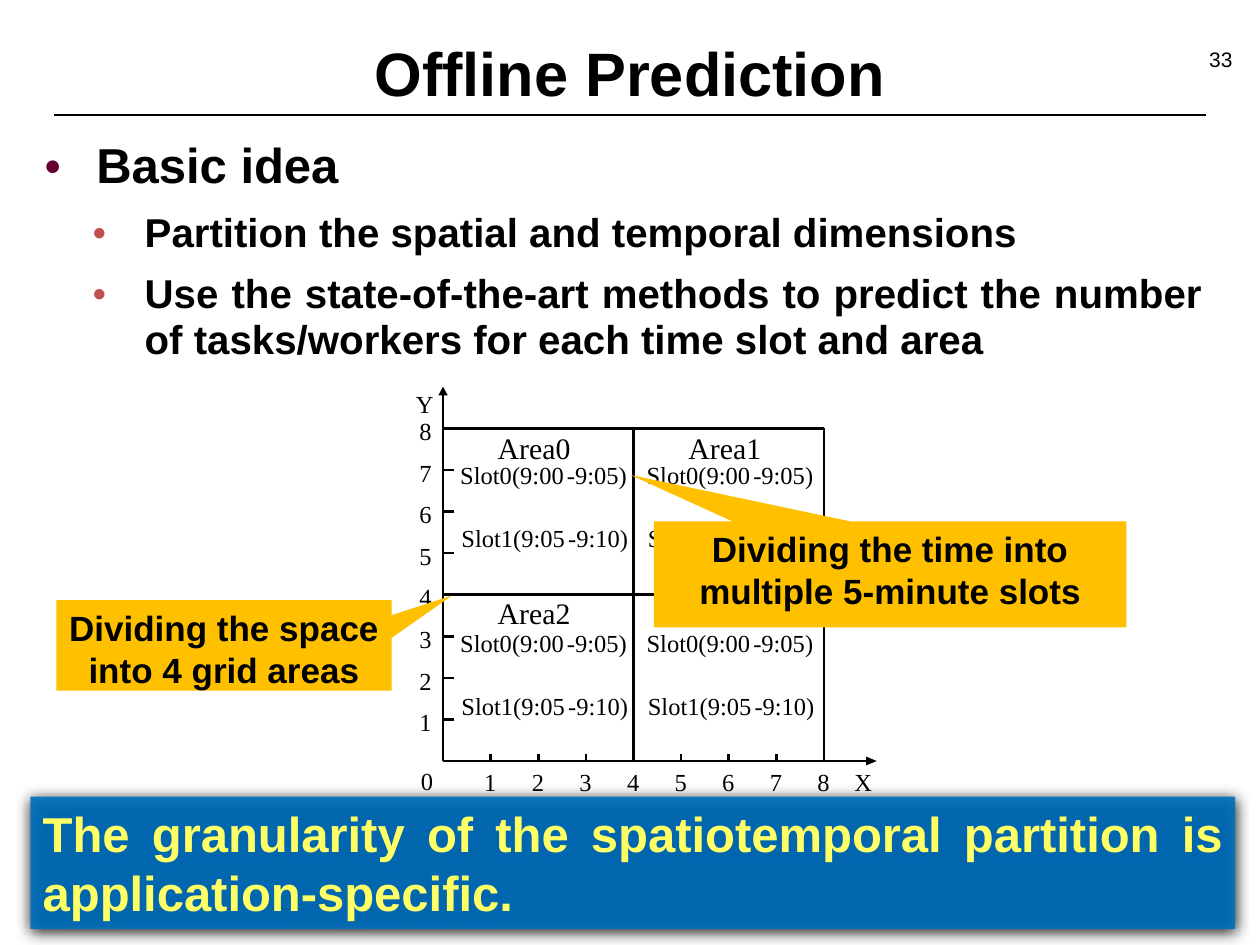
from lxml import etree
from pptx import Presentation, util as u
from pptx.dml.color import RGBColor
from pptx.enum import shapes, text
from pptx.oxml.ns import qn

ORIGIN_X, ORIGIN_Y = 253.2, 434.9
STEP_X, STEP_Y = 27.2, 23.76
BULLETS = [
    (0, "Basic idea"),
    (1, "Partition the spatial and temporal dimensions"),
    (1, "Use the state-of-the-art methods to predict the number "
        "of tasks/workers for each time slot and area"),
]
SLOTS = [("Slot0(9:00", "-", "9:05)"), ("Slot1(9:05", "-", "9:10)")]


def rgb(value):
    """Return the colour for a hex string."""
    return RGBColor.from_string(value)


def points(*values):
    """Convert numbers in points to lengths."""
    return [u.Pt(value) for value in values]


def xml_child(parent, tag, **attributes):
    """Append a DrawingML element to a parent."""
    attributes = {key: str(value) for key, value in attributes.items()}
    return etree.SubElement(parent, qn(tag), attributes)


def style(paragraph, size, color="000000", font="Arial", bold=True, align=None):
    """Format the runs and alignment of a paragraph."""
    paragraph.alignment = align
    for run in paragraph.runs:
        run.font.size = u.Pt(size)
        run.font.name = font
        run.font.bold = bold
        run.font.color.rgb = rgb(color)


def add_line(parent, x1, y1, x2, y2, width=1.5):
    """Draw a straight black line."""
    line = parent.add_connector(shapes.MSO_CONNECTOR.STRAIGHT, *points(x1, y1, x2, y2))
    line.line.color.rgb = rgb("000000")
    line.line.width = u.Pt(width)
    xml_child(line._element.spPr, "a:effectLst")


def add_arrow_tip(parent, corners):
    """Draw a solid black triangle."""
    start, *rest = [points(*corner) for corner in corners]
    builder = parent.build_freeform(*start)
    builder.add_line_segments(rest)
    tip = builder.convert_to_shape()
    tip.fill.solid()
    tip.fill.fore_color.rgb = rgb("000000")
    tip.line.fill.background()
    tip.shadow.inherit = False


def add_label(parent, wording, left, top, width=13.7, size=14):
    """Add a tight unwrapped diagram label."""
    box = parent.add_textbox(*points(left, top, width, size * 1.3))
    frame = box.text_frame
    frame.margin_left = frame.margin_right = frame.margin_top = frame.margin_bottom = 0
    frame.word_wrap = False
    frame.auto_size = text.MSO_AUTO_SIZE.SHAPE_TO_FIT_TEXT
    frame.text = wording
    style(frame.paragraphs[0], size, font="Times New Roman", bold=False)


def add_panel(parent, kind, wording, place, fill, size, color, align, anchor):
    """Add a filled shape with bold text."""
    panel = parent.add_shape(kind, *points(*place))
    panel.shadow.inherit = False
    panel.fill.solid()
    panel.fill.fore_color.rgb = rgb(fill)
    panel.line.fill.background()
    frame = panel.text_frame
    frame.word_wrap = True
    frame.vertical_anchor = anchor
    frame.text = wording
    style(frame.paragraphs[0], size, color, align=align)
    return panel


def add_callout(parent, wording, place, pointer):
    """Add an amber callout aimed at its pointer offset."""
    callout = add_panel(parent, shapes.MSO_SHAPE.RECTANGULAR_CALLOUT, wording, place,
                        "FFC000", 20, "000000", text.PP_ALIGN.CENTER, text.MSO_ANCHOR.TOP)
    for index, offset in enumerate(pointer):
        callout.adjustments[index] = offset


def add_conclusion(parent, wording, place):
    """Add the translucent blue banner with its shadow."""
    banner = add_panel(parent, shapes.MSO_SHAPE.RECTANGLE, wording, place, "0070C0", 28,
                       "FFFF66", text.PP_ALIGN.JUSTIFY, text.MSO_ANCHOR.MIDDLE)
    properties = banner._element.spPr
    xml_child(properties.find(qn("a:solidFill"))[0], "a:alpha", val=90000)
    shadow = xml_child(properties.find(qn("a:effectLst")), "a:outerShdw",
                       blurRad=u.Pt(8.5), dist=u.Pt(1), dir=5400000, rotWithShape=0)
    xml_child(shadow, "a:srgbClr", val="000000")


def add_title(slide, wording):
    """Place the title and the rule below it."""
    title = slide.shapes.title
    title.left, title.top, title.width, title.height = points(0, 8, 720, 58)
    title.text_frame.text = wording
    title.text_frame.vertical_anchor = text.MSO_ANCHOR.BOTTOM
    style(title.text_frame.paragraphs[0], 35, align=text.PP_ALIGN.CENTER)
    add_line(slide.shapes, 31, 65.8, 689, 65.8, 0.75)


def add_bullets(parent, items):
    """Add the two-level bullet list."""
    frame = parent.add_textbox(*points(18, 75.6, 677, 415)).text_frame
    frame.word_wrap = True
    frame.text = "\n".join(wording for _, wording in items)
    for paragraph, (level, _) in zip(frame.paragraphs, items):
        size, indent, color = [(28, 30, "660033"), (23, 57.6, "C0504D")][level]
        style(paragraph, size, align=text.PP_ALIGN.JUSTIFY)
        paragraph.level = level
        paragraph.line_spacing = 0.95
        paragraph.space_before = u.Pt(size * 0.27)
        paragraph.space_after = u.Pt(size * 0.11)
        properties = paragraph._p.get_or_add_pPr()
        properties.set("marL", str(u.Pt(indent)))
        properties.set("indent", str(u.Pt(-30)))
        xml_child(xml_child(properties, "a:buClr"), "a:srgbClr", val=color)
        xml_child(properties, "a:buSzPct", val=60000)
        xml_child(properties, "a:buFont", typeface="Arial")
        xml_child(properties, "a:buChar", char="●")


def add_axes(parent):
    """Draw both axes, their ticks, labels and the area borders."""
    end_x, end_y = 496, 225.5
    add_line(parent, ORIGIN_X, ORIGIN_Y, end_x, ORIGIN_Y)
    add_line(parent, ORIGIN_X, ORIGIN_Y, ORIGIN_X, end_y)
    add_arrow_tip(parent, [(end_x - 1, ORIGIN_Y - 2.5), (end_x + 5, ORIGIN_Y),
                           (end_x - 1, ORIGIN_Y + 2.5)])
    add_arrow_tip(parent, [(ORIGIN_X - 2.7, end_y + 0.5), (ORIGIN_X, end_y - 4.5),
                           (ORIGIN_X + 2.7, end_y + 0.5)])
    far_x, far_y = ORIGIN_X + 8 * STEP_X, ORIGIN_Y - 8 * STEP_Y
    for value in range(1, 9):
        x, y = ORIGIN_X + value * STEP_X, ORIGIN_Y - value * STEP_Y
        is_border = value % 4 == 0
        add_line(parent, x, far_y if is_border else ORIGIN_Y - 4.3, x, ORIGIN_Y)
        add_line(parent, ORIGIN_X, y, far_x if is_border else ORIGIN_X + 6, y)
        add_label(parent, str(value), x - 3.7, 438.5)
        add_label(parent, str(value), 239.6, y - 7)
    add_label(parent, "0", 240.5, 437.8)
    add_label(parent, "X", 488.2, 438.5, 16.5)
    add_label(parent, "Y", 237.6, 222.5, 16.5)


def add_areas(parent):
    """Label the four areas and their time slots."""
    for area in range(4):
        row, column = divmod(area, 2)
        add_label(parent, f"Area{area}", 284.4 + 109 * column, 245.5 + 94.4 * row, 51, 17)
        for slot, pieces in enumerate(SLOTS):
            left = 263 + 106.5 * column + 0.7 * slot
            top = 263 + 96 * row + 35.6 * slot
            for piece, offset, width in zip(pieces, (0, 61, 65.6), (70, 11.5, 38)):
                add_label(parent, piece, left + offset, top, width)


def add_page_number(parent, number):
    """Put the page number in the top right corner."""
    frame = parent.add_textbox(*points(543.6, 23, 167.8, 20)).text_frame
    frame.word_wrap = True
    frame.text = number
    style(frame.paragraphs[0], 12, bold=False, align=text.PP_ALIGN.RIGHT)


def main():
    """Build and save the slide."""
    deck = Presentation()
    deck.slide_width, deck.slide_height = points(720, 540)
    slide = deck.slides.add_slide(deck.slide_layouts[5])
    add_title(slide, "Offline Prediction")
    add_bullets(slide.shapes, BULLETS)
    diagram = slide.shapes.add_group_shape().shapes
    add_axes(diagram)
    add_areas(diagram)
    add_callout(slide.shapes, "Dividing the time into multiple 5-minute slots",
                (373.7, 298, 270, 60.5), (-0.55, -0.94))
    add_callout(slide.shapes, "Dividing the space into 4 grid areas",
                (32.2, 342.9, 191.6, 51.8), (0.68, -0.55))
    add_conclusion(slide.shapes, "The granularity of the spatiotemporal partition "
                   "is application-specific.", (17.3, 455.2, 688.5, 75.6))
    add_page_number(slide.shapes, "33")
    deck.save("out.pptx")


if __name__ == "__main__":
    main()
